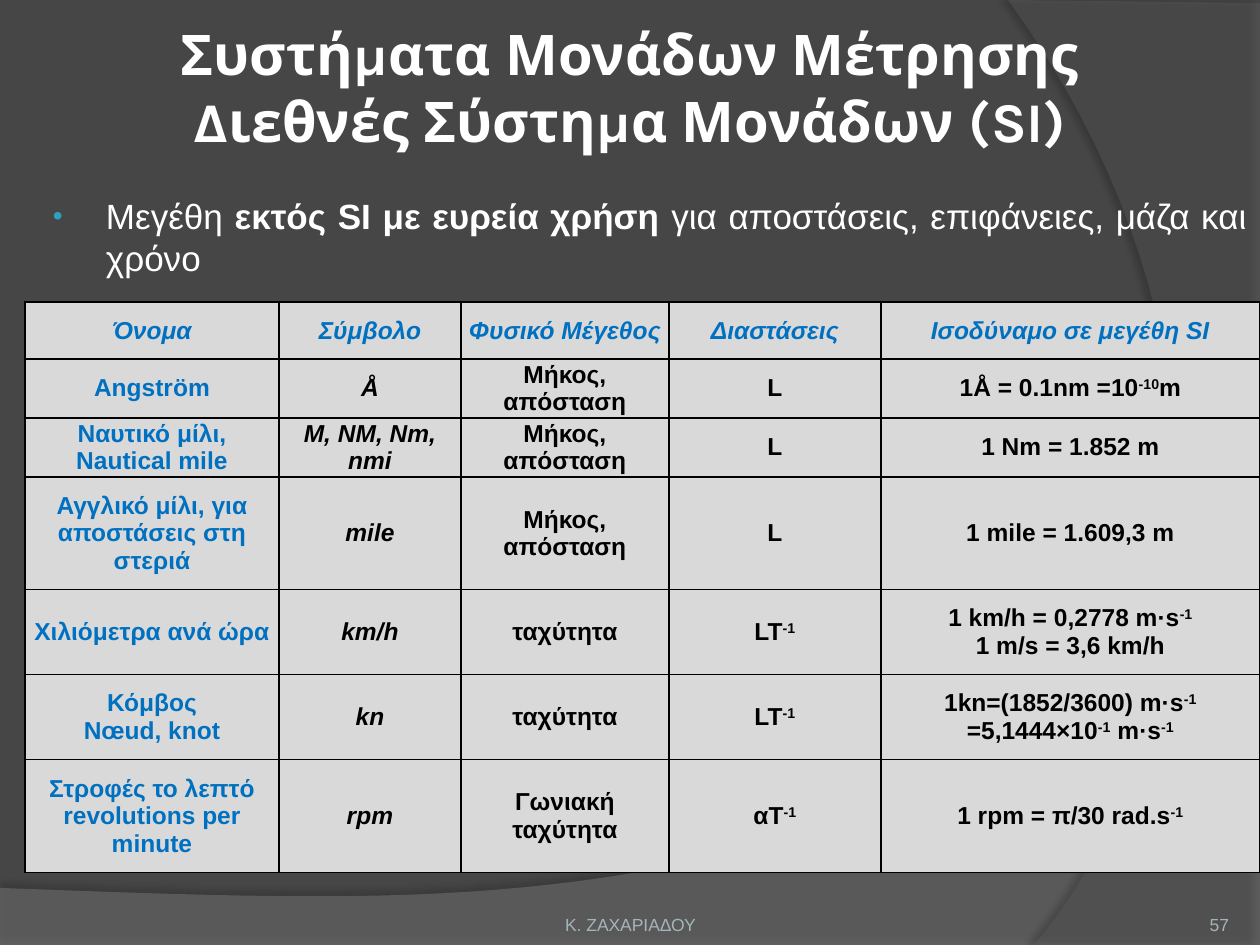
from lxml import etree
from pptx import Presentation, util as u
from pptx.dml.color import RGBColor
from pptx.enum import text as t
from pptx.oxml import ns

PX = 914400 // 126
BLACK, WHITE, BLUE, GREY, TEAL = "000000", "FFFFFF", "0070C0", "A4B5B9", "2DA2BF"
CELL_FILL, BACKGROUND = "D9D9D9", "464646"
LEFT, CENTER, RIGHT, JUSTIFY = (
    t.PP_ALIGN.LEFT, t.PP_ALIGN.CENTER, t.PP_ALIGN.RIGHT, t.PP_ALIGN.JUSTIFY)
TOP, MIDDLE, BOTTOM = t.MSO_ANCHOR.TOP, t.MSO_ANCHOR.MIDDLE, t.MSO_ANCHOR.BOTTOM

# Each wave: points in px, where a group of three points is a Bezier curve
WAVES = [
    dict(start=(0, 888), color="7F7F7F", alpha=45,
         shadow=dict(alpha=35, blur=4, distance=3.5, angle=270),
         steps=[[(0, 946)], [(1260, 946)], [(1260, 655)],
                [(704, 919), (493, 906), (0, 888)]]),
    dict(start=(1260, 3), color="5E5E5E", alpha=40,
         shadow=dict(alpha=45, blur=4, distance=4, angle=180),
         steps=[[(1260, 945)], [(1034, 945)],
                [(1178, 780), (1283, 378), (1008, 0)], [(1260, 3)]]),
]

# ^ switches superscript on and off, * switches bold, a new line is a paragraph
TITLE = "Συστήματα Μονάδων Μέτρησης\nΔιεθνές Σύστημα Μονάδων (SI)"
BODY = "Μεγέθη *εκτός SI με ευρεία χρήση *για αποστάσεις, επιφάνειες, μάζα και χρόνο"
TEXTS = [
    (TITLE, (63, 53, 1134, 67), (6, 6, 6, 6), MIDDLE, CENTER,
     dict(name="Karla", size=u.Pt(32), bold=True), WHITE),
    (BODY, (35, 189, 1225, 39), (13, 6, 13, 6), TOP, JUSTIFY,
     dict(name="Arial", size=u.Pt(20)), WHITE),
    ("Κ. ΖΑΧΑΡΙΑΔΟΥ", (431, 885, 399, 50), (0, 6, 0, 0), BOTTOM, CENTER,
     dict(name="Arial", size=u.Pt(10)), GREY),
    ("57", (1124, 885, 105, 50), (0, 0, 0, 0), BOTTOM, RIGHT,
     dict(name="Arial", size=u.Pt(10)), GREY),
]

TABLE_LEFT, TABLE_TOP = 25, 302
COLUMNS = [254, 182, 208, 212, 379]
ROW_HEIGHTS = [57, 57, 57, 113, 85, 85, 113]
UNITS = [
    ("Όνομα", "Σύμβολο", "Φυσικό Μέγεθος", "Διαστάσεις", "Ισοδύναμο σε μεγέθη SI"),
    ("Angström", "Å", "Μήκος, απόσταση", "L", "1Å = 0.1nm =10^-10^m"),
    ("Ναυτικό μίλι,\nNautical mile", "M, NM, Nm, nmi", "Μήκος, απόσταση", "L",
     "1 Nm = 1.852 m"),
    ("Αγγλικό μίλι, για αποστάσεις στη στεριά", "mile", "Μήκος, απόσταση", "L",
     "1 mile = 1.609,3 m"),
    ("Χιλιόμετρα ανά ώρα", "km/h", "ταχύτητα", "LT^-1^",
     "1 km/h = 0,2778 m·s^-1^\n1 m/s = 3,6 km/h"),
    ("Κόμβος\nNœud, knot", "kn", "ταχύτητα", "LT^-1^",
     "1kn=(1852/3600) m·s^-1^\n=5,1444×10^-1^ m·s^-1^"),
    ("Στροφές το λεπτό revolutions per minute", "rpm", "Γωνιακή ταχύτητα", "αT^-1^",
     "1 rpm = π/30 rad.s^-1^"),
]


def px(*lengths):
    return [length * PX for length in lengths]


def rgb(color):
    return RGBColor.from_string(color)


def add_xml(parent, tag, **attributes):
    return etree.SubElement(parent, ns.qn(tag), attributes)


def add_color(parent, color, alpha=100):
    node = add_xml(parent, "a:srgbClr", val=color)
    if alpha < 100:
        add_xml(node, "a:alpha", val=str(alpha * 1000))


def curve_points(start, controls, count=40):
    """Points along a cubic Bezier curve, or the end of a straight line."""
    if len(controls) == 1:
        return controls
    points = [start, *controls]
    return [tuple(sum(weight * p[axis] for weight, p in zip(
                ((1 - s)**3, 3 * s * (1 - s)**2, 3 * s * s * (1 - s), s**3), points))
                  for axis in (0, 1))
            for s in (i / count for i in range(1, count + 1))]


def add_wave(slide, start, steps, color, alpha, shadow):
    builder = slide.shapes.build_freeform(*px(*start), scale=1.0)
    here = start
    for step in steps:
        builder.add_line_segments(
            [px(*point) for point in curve_points(here, step)], close=False)
        here = step[-1]
    builder.add_line_segments([], close=True)
    wave = builder.convert_to_shape()
    wave.line.fill.background()
    wave.fill.solid()
    wave.fill.fore_color.rgb = rgb(color)
    properties = wave.fill._xPr
    fill_color = properties.find(ns.qn("a:solidFill"))[0]
    add_xml(fill_color, "a:alpha", val=str(alpha * 1000))
    outer = add_xml(add_xml(properties, "a:effectLst"), "a:outerShdw",
                    blurRad=str(int(u.Pt(shadow["blur"]))),
                    dist=str(int(u.Pt(shadow["distance"]))),
                    dir=str(shadow["angle"] * 60000), rotWithShape="0")
    add_color(outer, BLACK, shadow["alpha"])


def write(frame, content, align, font, color):
    for number, line in enumerate(content.split("\n")):
        paragraph = frame.add_paragraph() if number else frame.paragraphs[0]
        paragraph.alignment = align
        for bold_index, stretch in enumerate(line.split("*")):
            for raised, piece in enumerate(stretch.split("^")):
                if not piece:
                    continue
                run = paragraph.add_run()
                run.text = piece
                for key, value in font.items():
                    setattr(run.font, key, value)
                run.font.color.rgb = rgb(color)
                if bold_index % 2:
                    run.font.bold = True
                if raised % 2:
                    run.font._element.set("baseline", "30000")


def set_margins(holder, margins):
    for side, margin in zip(("left", "top", "right", "bottom"), px(*margins)):
        setattr(holder, f"margin_{side}", margin)


def add_text(slide, content, box, margins, anchor, align, font, color):
    frame = slide.shapes.add_textbox(*px(*box)).text_frame
    frame.word_wrap = True
    frame.vertical_anchor = anchor
    set_margins(frame, margins)
    write(frame, content, align, font, color)
    return frame


def add_bullet(paragraph):
    properties = paragraph._p.get_or_add_pPr()
    properties.set("marL", str(58 * PX))
    properties.set("indent", str(-53 * PX))
    add_color(add_xml(properties, "a:buClr"), TEAL)
    add_xml(properties, "a:buSzPct", val="80000")
    add_xml(properties, "a:buFont", typeface="Arial")
    add_xml(properties, "a:buChar", char="•")


def add_borders(cell):
    properties = cell._tc.get_or_add_tcPr()
    for place, side in enumerate("LRTB"):
        border = add_xml(properties, f"a:ln{side}", w=str(int(u.Pt(1))))
        add_color(add_xml(border, "a:solidFill"), BLACK)
        properties.insert(place, border)


def add_units_table(slide):
    table = slide.shapes.add_table(
        len(UNITS), len(COLUMNS),
        *px(TABLE_LEFT, TABLE_TOP, sum(COLUMNS), sum(ROW_HEIGHTS))).table
    table.first_row = table.horz_banding = False
    for column, width in zip(table.columns, px(*COLUMNS)):
        column.width = width
    for row, height in zip(table.rows, px(*ROW_HEIGHTS)):
        row.height = height
    for r, unit in enumerate(UNITS):
        for c, content in enumerate(unit):
            cell = table.cell(r, c)
            cell.fill.solid()
            cell.fill.fore_color.rgb = rgb(CELL_FILL)
            cell.vertical_anchor = MIDDLE
            set_margins(cell, (6, 0, 6, 0))
            add_borders(cell)
            font = dict(name="Arial", size=u.Pt(14), bold=True, italic=r == 0 or c == 1)
            write(cell.text_frame, content, CENTER, font,
                  BLUE if r == 0 or c == 0 else BLACK)


def main():
    deck = Presentation()
    deck.slide_width, deck.slide_height = px(1260, 945)
    slide = deck.slides.add_slide(deck.slide_layouts[6])
    slide.background.fill.solid()
    slide.background.fill.fore_color.rgb = rgb(BACKGROUND)
    for wave in WAVES:
        add_wave(slide, **wave)
    for entry in TEXTS:
        frame = add_text(slide, *entry)
        if entry[0] == BODY:
            add_bullet(frame.paragraphs[0])
    add_units_table(slide)
    deck.save("out.pptx")


if __name__ == "__main__":
    main()
